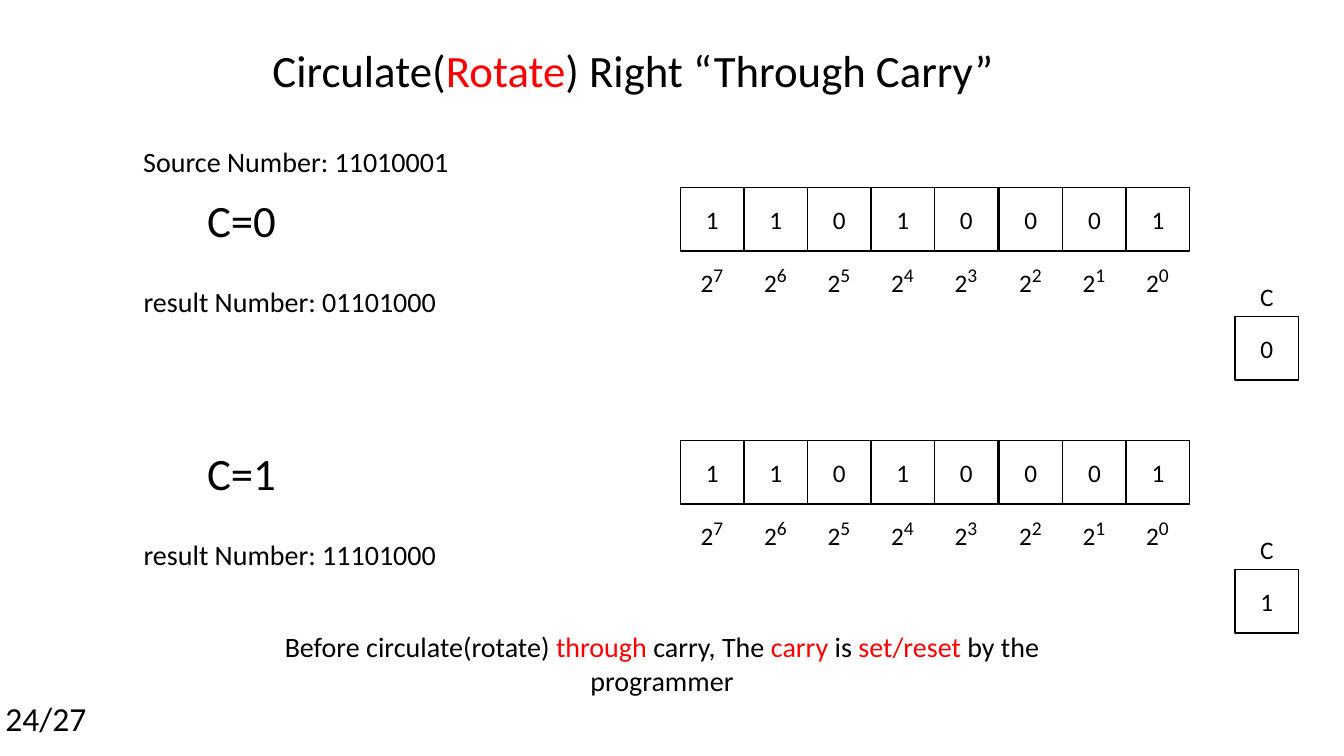
from pptx import Presentation
from pptx import util as u
from pptx.dml import color
from pptx.enum import shapes, text

PX = 9144
FONT = "Calibri"
COLORS = {"ink": "000000", "accent": "FF0000", "paper": "FFFFFF"}
BITS = "11010001"
CASES = [(186, "0", "01101000"), (437, "1", "11101000")]


def rgb(name):
    """Return the named colour."""
    return color.RGBColor.from_string(COLORS[name])


def style(paragraph, size, align):
    """Set the font and alignment of a paragraph."""
    paragraph.alignment = align
    paragraph.font.name = FONT
    paragraph.font.size = u.Pt(size)
    paragraph.font.color.rgb = rgb("ink")


def add_text(slide, box, parts, size, align=text.PP_ALIGN.CENTER, wrap=False):
    """Place a text box whose odd-numbered parts are in the accent colour."""
    shape = slide.shapes.add_textbox(*(value * PX for value in box))
    frame = shape.text_frame
    frame.word_wrap = wrap
    frame.auto_size = text.MSO_AUTO_SIZE.SHAPE_TO_FIT_TEXT
    paragraph = frame.paragraphs[0]
    style(paragraph, size, align)
    for index, part in enumerate(parts):
        run = paragraph.add_run()
        run.text = part
        if index % 2:
            run.font.color.rgb = rgb("accent")
    return paragraph


def add_bit(slide, left, top, size, digit):
    """Place one square register cell holding a digit."""
    shape = slide.shapes.add_shape(
        shapes.MSO_SHAPE.RECTANGLE, left * PX, top * PX, size * PX, size * PX)
    shape.shadow.inherit = False
    shape.fill.solid()
    shape.fill.fore_color.rgb = rgb("paper")
    shape.line.color.rgb = rgb("ink")
    shape.line.width = u.Pt(1)
    frame = shape.text_frame
    frame.vertical_anchor = text.MSO_ANCHOR.MIDDLE
    frame.margin_left = frame.margin_right = 0
    paragraph = frame.paragraphs[0]
    paragraph.text = digit
    style(paragraph, 18, text.PP_ALIGN.CENTER)


def add_register(slide, left, top, width):
    """Place the row of bits with the power of two under each."""
    for index, digit in enumerate(BITS):
        cell_left = left + round(index * width / len(BITS))
        add_bit(slide, cell_left, top, 63, digit)
        paragraph = add_text(slide, (cell_left + 10, top + 66, 44, 40), ["2"],
                             18, text.PP_ALIGN.LEFT)
        exponent = paragraph.add_run()
        exponent.text = str(len(BITS) - 1 - index)
        exponent.font.size = u.Pt(24)
        exponent.font._element.set("baseline", "30000")


def add_carry(slide, left, top, digit):
    """Place the carry label and its cell."""
    add_text(slide, (left + 15, top, 34, 40), ["C"], 18, text.PP_ALIGN.LEFT)
    add_bit(slide, left, top + 40, 63, digit)


def add_case(slide, left, top, carry, result):
    """Place one rotation example: carry value, result, register and carry cell."""
    add_text(slide, (left + 80, top, 89, 64), [f"C={carry}"], 32)
    add_text(slide, (left, top + 91, 345, 77), [f"result Number: {result}"], 20, wrap=True)
    add_register(slide, left + 560, top, 505)
    add_carry(slide, left + 1110, top + 88, carry)


def add_rotate_slide(presentation):
    """Build the rotate-through-carry slide."""
    slide = presentation.slides.add_slide(presentation.slide_layouts[6])
    add_text(slide, (256, 37, 744, 64),
             ["Circulate(", "Rotate", ") Right “Through Carry”"], 32)
    add_text(slide, (127, 138, 333, 77), [f"Source Number: {BITS}"], 20)
    for top, carry, result in CASES:
        add_case(slide, 115, top, carry, result)
    add_text(slide, (199, 620, 915, 77),
             ["Before circulate(rotate) ", "through", " carry, The ", "carry",
              " is ", "set/reset ", "by the programmer"], 20, wrap=True)
    add_text(slide, (-5, 687, 101, 50), ["24/27"], 24)


def main():
    """Create and save the presentation."""
    presentation = Presentation()
    presentation.slide_width = 1333 * PX
    presentation.slide_height = 750 * PX
    add_rotate_slide(presentation)
    presentation.save("out.pptx")


if __name__ == "__main__":
    main()
